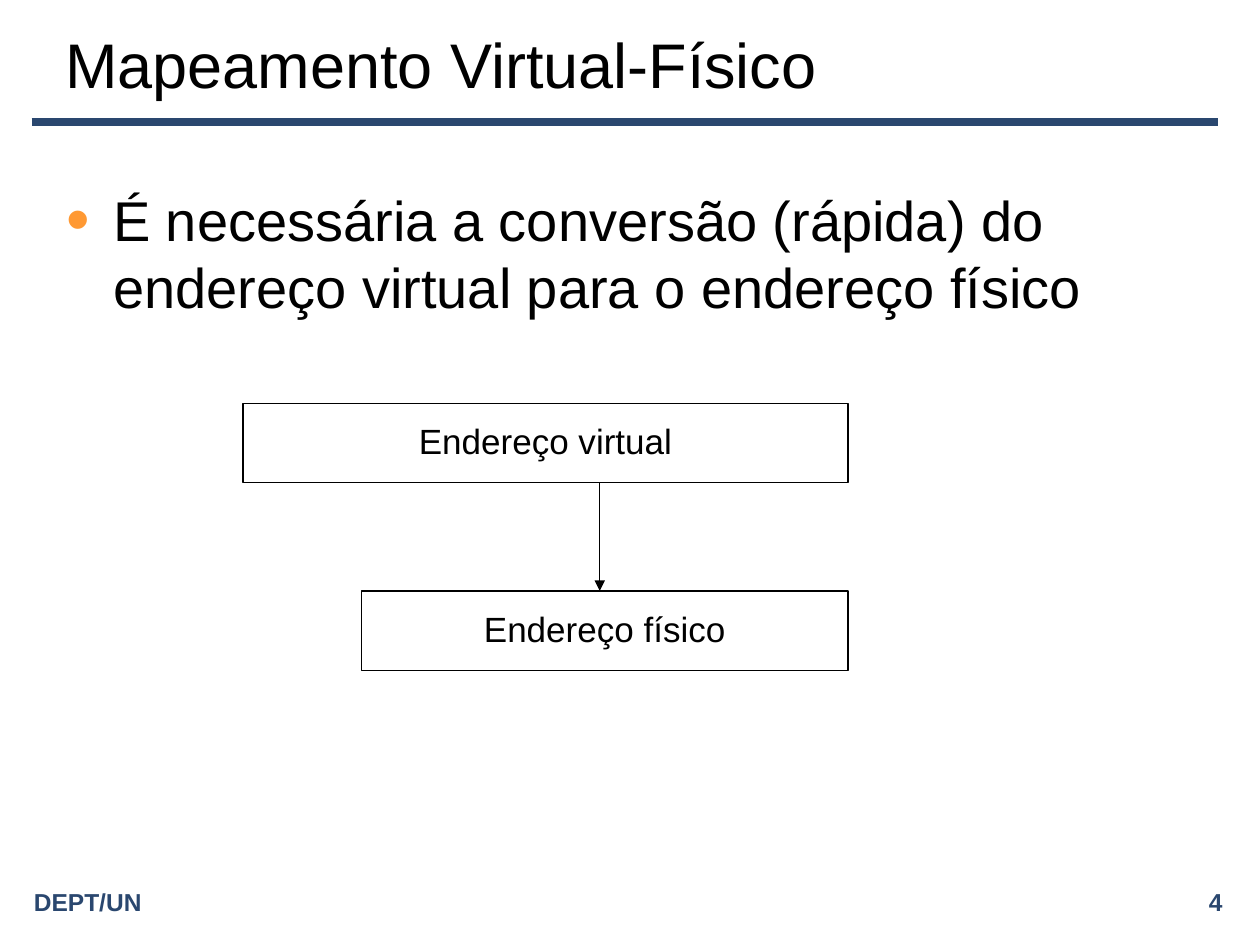
import pptx
import pptx.chart
import pptx.dml.color
import pptx.enum.shapes
import pptx.enum.text
import pptx.oxml.ns
import pptx.util
from lxml import etree

"""Build the slide on mapping virtual addresses to physical ones."""

Inches = pptx.util.Inches
Points = pptx.util.Pt
ALIGN = pptx.enum.text.PP_ALIGN
ANCHOR = pptx.enum.text.MSO_ANCHOR

THEME = {
    "font": "Arial",
    "ink": "000000", "navy": "2A476F", "orange": "FF9933",
    "title": 36, "body": 32, "box": 20, "footer": 14,
    "rule": 4.5, "thin": 0.75,
}

TITLE = "Mapeamento Virtual-Físico"
BULLET = "É necessária a conversão (rápida) do endereço virtual para o endereço físico"
FOOTERS = [("DEPT/UN", 0.17, ALIGN.LEFT), ("4", 5.92, ALIGN.RIGHT)]
BOXES = [("Endereço virtual", 1.93, 3.2), ("Endereço físico", 2.87, 4.69)]
BOX_RIGHT, BOX_HEIGHT, ARROW_X = 6.73, 0.63, 4.76


def color(name):
    return pptx.dml.color.RGBColor.from_string(THEME[name])


def add_child(parent, tag, **attributes):
    return etree.SubElement(parent, pptx.oxml.ns.qn(tag), attributes)


def write(shape, text, size, ink="ink", bold=False, align=ALIGN.LEFT,
          anchor=ANCHOR.MIDDLE, wrap=True, before=0, bottom=0.05):
    frame = shape.text_frame
    frame.word_wrap = wrap
    frame.vertical_anchor = anchor
    frame.margin_left = frame.margin_right = Inches(0.1)
    frame.margin_top, frame.margin_bottom = Inches(0.05), Inches(bottom)
    paragraph = frame.paragraphs[0]
    paragraph.alignment = align
    paragraph.space_before = Points(before)
    run = paragraph.add_run()
    run.text = text
    run.font.name = THEME["font"]
    run.font.size = Points(THEME[size])
    run.font.bold = bold
    run.font.color.rgb = color(ink)
    return paragraph


def add_text(slide, area, text, size, **style):
    box = slide.shapes.add_textbox(*map(Inches, area))
    return write(box, text, size, **style)


def add_bullet(paragraph):
    properties = paragraph._p.get_or_add_pPr()
    properties.set("marL", str(Inches(0.38)))
    properties.set("indent", str(Inches(-0.37)))
    bullet_color = add_child(properties, "a:buClr")
    add_child(bullet_color, "a:srgbClr", val=THEME["orange"])
    add_child(properties, "a:buSzPct", val="120000")
    add_child(properties, "a:buFont", typeface=THEME["font"])
    add_child(properties, "a:buChar", char="•")


def add_box(slide, text, left, top):
    area = (left, top, BOX_RIGHT - left, BOX_HEIGHT)
    box = slide.shapes.add_shape(
        pptx.enum.shapes.MSO_SHAPE.RECTANGLE, *map(Inches, area))
    box.shadow.inherit = False
    box.fill.background()
    box.line.color.rgb = color("ink")
    box.line.width = Points(THEME["thin"])
    write(box, text, "box", align=ALIGN.CENTER, wrap=False, before=4, bottom=0.09)


def add_line(slide, ends, ink, width, arrow=False):
    line = slide.shapes.add_connector(
        pptx.enum.shapes.MSO_CONNECTOR.STRAIGHT, *map(Inches, ends))
    line.line.color.rgb = color(ink)
    line.line.width = Points(THEME[width])
    if arrow:
        add_child(line.line._get_or_add_ln(), "a:tailEnd", type="triangle")
    add_child(line._element.spPr, "a:effectLst")


def main():
    presentation = pptx.Presentation()
    presentation.slide_width, presentation.slide_height = Inches(10), Inches(7.5)
    slide = presentation.slides.add_slide(presentation.slide_layouts[6])

    add_line(slide, (0.25, 0.97, 9.67, 0.97), "navy", "rule")
    for text, left, align in FOOTERS:
        add_text(slide, (left, 7, 3.88, 0.31), text, "footer",
                 ink="navy", bold=True, align=align)
    add_text(slide, (0.42, 0.17, 8.75, 0.67), TITLE, "title")
    add_bullet(add_text(slide, (0.42, 1.42, 9, 4.95), BULLET, "body",
                        anchor=ANCHOR.TOP, before=6.4))
    for text, left, top in BOXES:
        add_box(slide, text, left, top)
    virtual_top, physical_top = [top for _, _, top in BOXES]
    add_line(slide, (ARROW_X, virtual_top + BOX_HEIGHT, ARROW_X, physical_top),
             "ink", "thin", arrow=True)

    presentation.save("out.pptx")


if __name__ == "__main__":
    main()
